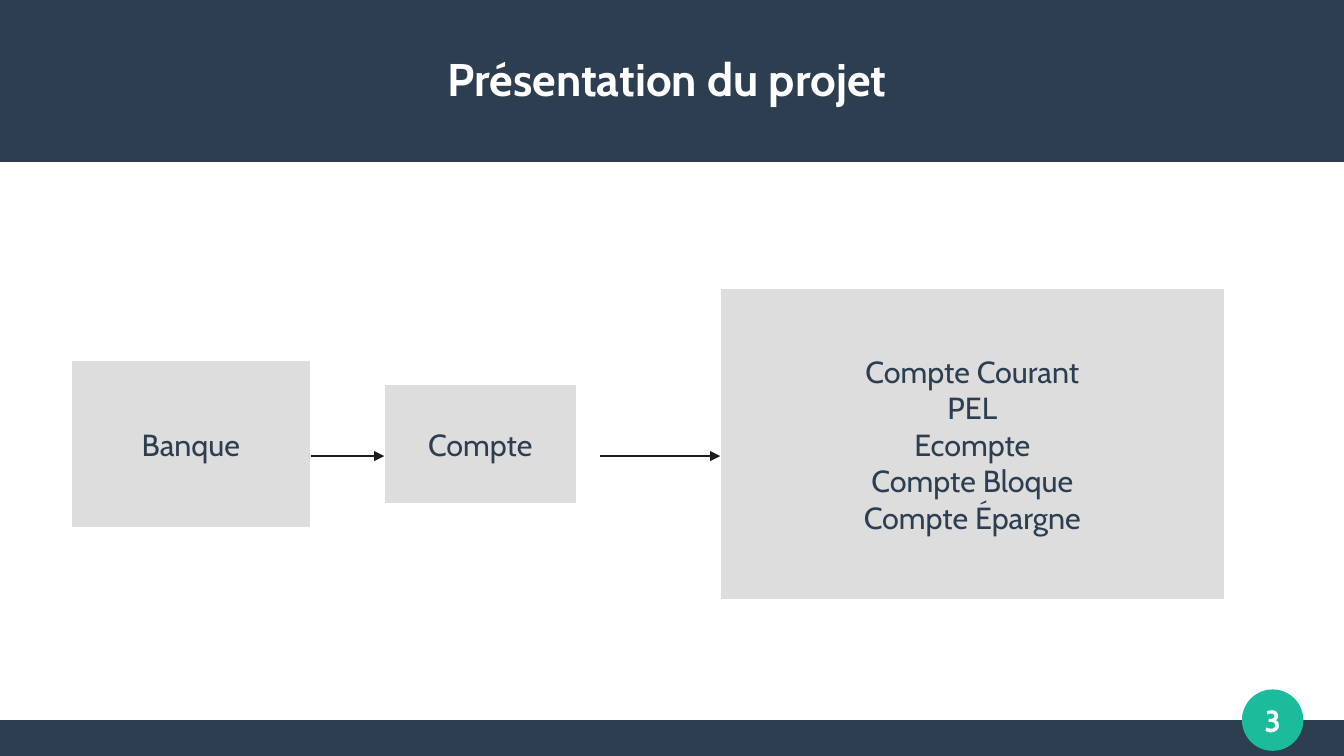
"""Build the slide showing how the bank, account and account types relate."""
from lxml import etree
from pptx import Presentation
from pptx.dml.color import RGBColor
from pptx.enum.shapes import MSO_CONNECTOR, MSO_SHAPE
from pptx.enum.text import MSO_ANCHOR, MSO_AUTO_SIZE, PP_ALIGN
from pptx.oxml.ns import qn
from pptx.util import Pt

RECT, OVAL = MSO_SHAPE.RECTANGLE, MSO_SHAPE.OVAL
STRAIGHT = MSO_CONNECTOR.STRAIGHT
MIDDLE, CENTER, NO_FIT = MSO_ANCHOR.MIDDLE, PP_ALIGN.CENTER, MSO_AUTO_SIZE.NONE
NAVY, TEAL, GREY, WHITE, BLACK = "2C3E50", "1ABC9C", "DDDDDD", "FFFFFF", "1C1C1C"
WIDTH, HEIGHT = 793.44, 446.4
LINE = 0.85


def rgb(value):
    return RGBColor.from_string(value)


def write(sp, text, size=18, color=NAVY, bold=False, inset=(0, 0), wrap=False):
    tf = sp.text_frame
    tf.text = text
    tf.auto_size = NO_FIT
    tf.word_wrap = wrap
    tf.vertical_anchor = MIDDLE
    tf.margin_left = tf.margin_right = Pt(inset[0])
    tf.margin_top = tf.margin_bottom = Pt(inset[1])
    for p in tf.paragraphs:
        p.alignment = CENTER
        for r in p.runs:
            r.font.name = "Cabin"
            r.font.size = Pt(size)
            r.font.bold = bold
            r.font.color.rgb = rgb(color)


prs = Presentation()
prs.slide_width, prs.slide_height = Pt(WIDTH), Pt(HEIGHT)
s = prs.slides.add_slide(prs.slide_layouts[5])
s.background.fill.solid()
s.background.fill.fore_color.rgb = rgb(WHITE)

badge = {"color": WHITE, "bold": True}
box = {"inset": (7.2, 3.6)}
accounts = ["Compte Courant", "PEL", "Ecompte", "Compte Bloque", "Compte Épargne"]
shapes = [
    (RECT, (0, 425.2, WIDTH, 21.2), NAVY, None, "", {}),
    (RECT, (0, 0, WIDTH, 95.7), NAVY, None, "", {}),
    (OVAL, (733.6, 407.5, 35.4, 35.4), TEAL, TEAL, "3", badge),
    (RECT, (41.8, 212.6, 141.7, 99.2), GREY, WHITE, "Banque", box),
    (RECT, (226.8, 226.8, 113.4, 70.9), GREY, WHITE, "Compte", box),
    (RECT, (425.2, 170.1, 297.6, 184.3), GREY, WHITE, "\n".join(accounts), box),
]
for kind, bounds, fill, line, text, fmt in shapes:
    sp = s.shapes.add_shape(kind, *map(Pt, bounds))
    sp.shadow.inherit = False
    sp.fill.solid()
    sp.fill.fore_color.rgb = rgb(fill)
    if line:
        sp.line.color.rgb = rgb(line)
        sp.line.width = Pt(LINE)
    else:
        sp.line.fill.background()
    if text:
        write(sp, text, **fmt)

arrow_y = Pt(269.3)
for start, end in [(183.5, 226.8), (354.3, 425.2)]:
    cxn = s.shapes.add_connector(STRAIGHT, Pt(start), arrow_y, Pt(end), arrow_y)
    cxn.line.color.rgb = rgb(BLACK)
    cxn.line.width = Pt(LINE)
    ln = cxn.line._get_or_add_ln()
    etree.SubElement(ln, qn("a:tailEnd"), type="triangle")
    etree.SubElement(ln.getparent(), qn("a:effectLst"))

title = s.shapes.title
title.left, title.top, title.width, title.height = map(Pt, (28.3, 17.9, 737, 56.7))
write(title, "Présentation du projet ", size=27, color=WHITE, bold=True, wrap=True)
title.element.getparent().append(title.element)

prs.save("out.pptx")
